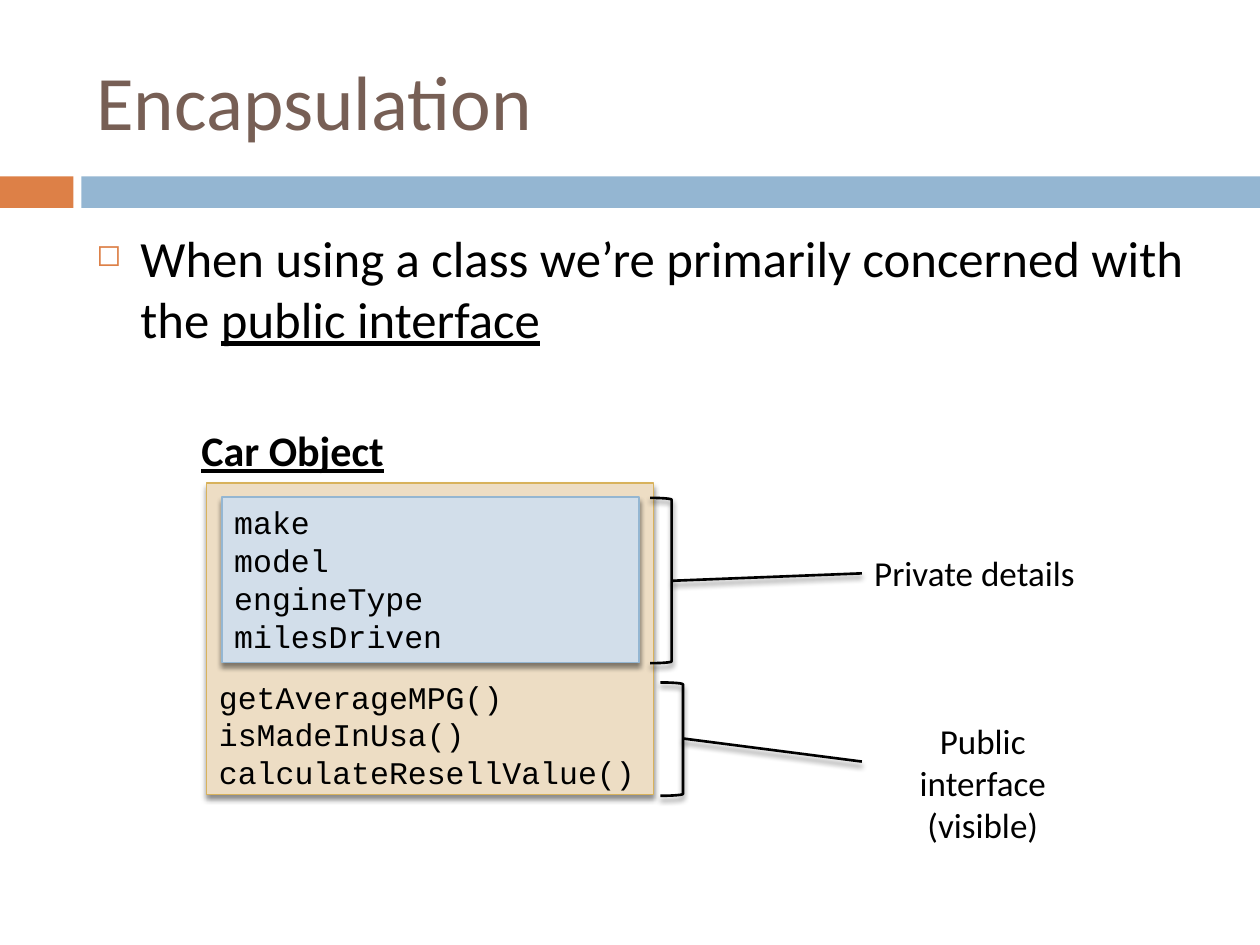
from dataclasses import dataclass

from lxml.etree import SubElement
from pptx import Presentation
from pptx.dml.color import RGBColor
from pptx.enum.shapes import MSO_CONNECTOR as Connector, MSO_SHAPE as Shape
from pptx.enum.text import MSO_ANCHOR as Anchor, PP_ALIGN as Align
from pptx.oxml.ns import qn
from pptx.util import Pt

COLORS = {
    "title": "775F55", "orange": "DD8047", "blue": "94B6D2", "text": "000000",
    "object_fill": "EDDDC4", "object_line": "D8B25C", "private_fill": "D2DEEA",
}
BODY_FONT, CODE_FONT = "Calibri", "Courier New"


@dataclass(frozen=True)
class Box:
    left: float
    top: float
    width: float
    height: float

    def points(self) -> tuple:
        return Pt(self.left), Pt(self.top), Pt(self.width), Pt(self.height)


@dataclass(frozen=True)
class CodePanel:
    box: Box
    fill: str
    line: str
    lines: tuple
    anchor: Anchor
    bottom_inset: float


@dataclass(frozen=True)
class Callout:
    bracket: Box
    stem_y: float
    label: Box
    lines: tuple
    align: Align
    side_inset: float
    wrap: bool


PANELS = (
    CodePanel(Box(118, 276, 255.5, 178), "object_fill", "object_line",
              ("getAverageMPG()", "isMadeInUsa()", "calculateResellValue()"),
              Anchor.BOTTOM, 2),
    CodePanel(Box(126.8, 284, 238.5, 94.5), "private_fill", "blue",
              ("make", "model", "engineType", "milesDriven"), Anchor.TOP, 3.6),
)
CALLOUTS = (
    Callout(Box(371.5, 284.5, 12.3, 94.5), 331.9, Box(492.5, 311.8, 129.6, 31.7),
            ("Private details",), Align.LEFT, 7.2, False),
    Callout(Box(377.3, 390, 13, 64.8), 422, Box(492.5, 407.5, 138.2, 55.4),
            ("Public interface", "(visible)"), Align.CENTER, 15, True),
)


def rgb(name: str) -> RGBColor:
    return RGBColor.from_string(COLORS[name])


def add_run(p, text: str, size: float, font=BODY_FONT, color="text",
            bold=False, underline=False) -> None:
    r = p.add_run()
    r.text = text
    r.font.name, r.font.size = font, Pt(size)
    r.font.color.rgb = rgb(color)
    r.font.bold, r.font.underline = bold, underline


def add_lines(tf, lines: tuple, size: float, font=BODY_FONT, align=Align.LEFT) -> None:
    for i, line in enumerate(lines):
        p = tf.add_paragraph() if i else tf.paragraphs[0]
        p.alignment = align
        add_run(p, line, size, font)


def add_text_box(slide, box: Box, wrap=True):
    sp = slide.shapes.add_textbox(*box.points())
    sp.text_frame.word_wrap = wrap
    return sp


def add_drop_shadow(sp) -> None:
    effects = SubElement(sp._element.spPr, qn("a:effectLst"))
    shadow = SubElement(effects, qn("a:outerShdw"), blurRad=str(Pt(3)),
                        dist=str(Pt(2.4)), dir="5400000", rotWithShape="0")
    color = SubElement(shadow, qn("a:srgbClr"), val=COLORS["text"])
    SubElement(color, qn("a:alpha"), val="45000")


def set_line(sp, color: str, width: float) -> None:
    sp.line.color.rgb = rgb(color)
    sp.line.width = Pt(width)


def add_band(slide, box: Box, color: str) -> None:
    sp = slide.shapes.add_shape(Shape.RECTANGLE, *box.points())
    sp.shadow.inherit = False
    sp.fill.solid()
    sp.fill.fore_color.rgb = rgb(color)
    sp.line.fill.background()


def add_bullet(p) -> None:
    """Give the paragraph a hanging square bullet."""
    pPr = p._p.get_or_add_pPr()
    pPr.set("marL", str(Pt(25.2)))
    pPr.set("indent", str(-Pt(25.2)))
    SubElement(SubElement(pPr, qn("a:buClr")), qn("a:srgbClr"), val=COLORS["orange"])
    SubElement(pPr, qn("a:buSzPct"), val="60000")
    SubElement(pPr, qn("a:buChar"), char="◻")


def add_code_panel(slide, panel: CodePanel) -> None:
    sp = slide.shapes.add_shape(Shape.RECTANGLE, *panel.box.points())
    sp.fill.solid()
    sp.fill.fore_color.rgb = rgb(panel.fill)
    set_line(sp, panel.line, 0.79)
    add_drop_shadow(sp)
    tf = sp.text_frame
    tf.word_wrap = True
    tf.vertical_anchor = panel.anchor
    tf.margin_bottom = Pt(panel.bottom_inset)
    add_lines(tf, panel.lines, 18, CODE_FONT)


def add_callout(slide, callout: Callout) -> None:
    """Draw a bracket with a stem that leads to its label."""
    bracket = slide.shapes.add_shape(Shape.RIGHT_BRACKET, *callout.bracket.points())
    bracket.fill.background()

    label = add_text_box(slide, callout.label, callout.wrap)
    tf = label.text_frame
    tf.margin_left = tf.margin_right = Pt(callout.side_inset)
    add_lines(tf, callout.lines, 20, align=callout.align)

    stem_x = callout.bracket.left + callout.bracket.width
    stem = slide.shapes.add_connector(
        Connector.STRAIGHT, Pt(stem_x), Pt(callout.stem_y),
        Pt(callout.label.left), Pt(callout.label.top + callout.label.height / 2))
    stem.end_connect(label, 1)
    for sp in (bracket, stem):
        set_line(sp, "text", 1.5)
        add_drop_shadow(sp)


def main() -> None:
    prs = Presentation()
    prs.slide_width, prs.slide_height = Pt(720), Pt(540)
    slide = prs.slides.add_slide(prs.slide_layouts[6])

    add_band(slide, Box(0, 100.8, 42, 18), "orange")
    add_band(slide, Box(46.5, 100.8, 673.5, 18), "blue")

    title = add_text_box(slide, Box(48, 18, 642, 78)).text_frame
    title.vertical_anchor = Anchor.MIDDLE
    add_run(title.paragraphs[0], "Encapsulation", 44, color="title")

    p = add_text_box(slide, Box(48, 126, 642, 81)).text_frame.paragraphs[0]
    add_bullet(p)
    add_run(p, "When using a class we’re primarily concerned with the ", 29)
    add_run(p, "public interface", 29, underline=True)

    heading = add_text_box(slide, Box(108, 239, 120, 36), wrap=False).text_frame
    add_run(heading.paragraphs[0], "Car Object", 24, bold=True, underline=True)

    for panel in PANELS:
        add_code_panel(slide, panel)
    for callout in CALLOUTS:
        add_callout(slide, callout)
    prs.save("out.pptx")


if __name__ == "__main__":
    main()
